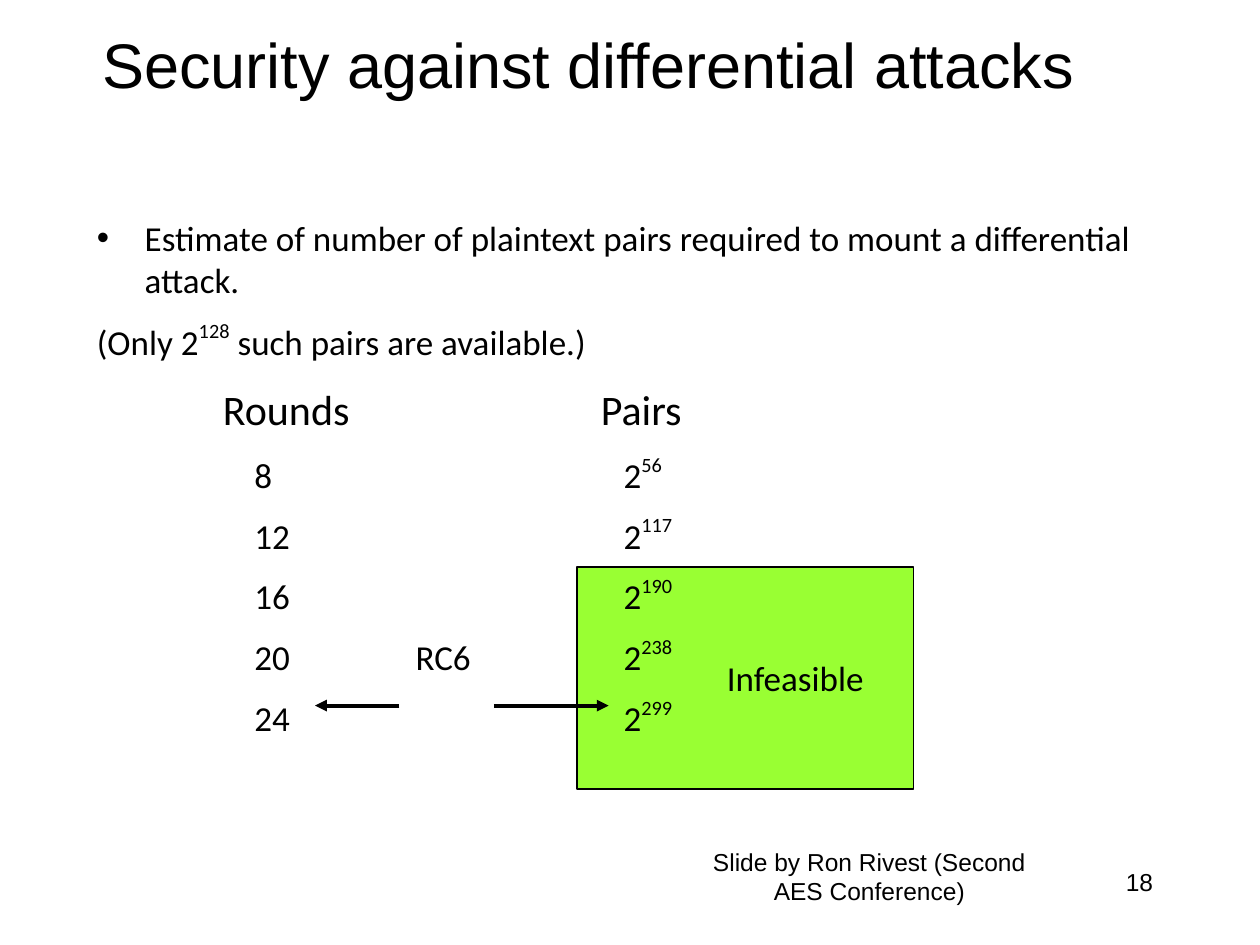
from dataclasses import dataclass

import pptx
import pptx.dml.color
import pptx.enum.shapes
import pptx.enum.text
import pptx.oxml.ns
import pptx.util
from lxml import etree
from pptx.util import Inches

ALIGN = pptx.enum.text.PP_ALIGN


@dataclass(frozen=True)
class Theme:
    """Colours, fonts and type sizes of the slide."""
    ink: str = "000000"
    highlight: str = "99FF33"
    heading_font: str = "Arial"
    body_font: str = "Calibri"
    title_size: int = 36
    header_size: int = 24
    body_size: int = 20
    footer_size: int = 14


THEME = Theme()
HEADER_STOPS = (1, 4)
ROW_STOPS = (1.25, 2.53, 4.18)
ROUNDS = (
    ("8", "", "56"),
    ("12", "", "117"),
    ("16", "", "190"),
    ("20", "RC6", "238"),
    ("24", "", "299"),
)


def rgb(value):
    """Return a colour object for a hex value."""
    return pptx.dml.color.RGBColor.from_string(value)


def add_xml(parent, tag, **attributes):
    """Append a DrawingML element and return it."""
    return etree.SubElement(parent, pptx.oxml.ns.qn(tag), attributes)


def style(paragraph, size, font=THEME.body_font, align=ALIGN.LEFT):
    """Set the type and alignment of a paragraph."""
    paragraph.alignment = align
    paragraph.font.size = pptx.util.Pt(size)
    paragraph.font.name = font
    paragraph.font.color.rgb = rgb(THEME.ink)


def add_frame(slide, box):
    """Add a wrapping text box and return its text frame."""
    frame = slide.shapes.add_textbox(*map(Inches, box)).text_frame
    frame.word_wrap = True
    return frame


def add_label(slide, box, text, size, font, align):
    """Add a one-paragraph text box."""
    paragraph = add_frame(slide, box).paragraphs[0]
    paragraph.text = text
    style(paragraph, size, font, align)


def add_title(slide, box, text):
    """Place and format the title placeholder."""
    title = slide.shapes.title
    title.left, title.top, title.width, title.height = map(Inches, box)
    title.text_frame.text = text
    title.text_frame.vertical_anchor = pptx.enum.text.MSO_ANCHOR.MIDDLE
    style(title.text_frame.paragraphs[0], THEME.title_size, THEME.heading_font, ALIGN.CENTER)


def add_line(frame, text, exponent="", rest="", raised=50, stops=(), size=THEME.body_size):
    """Add a paragraph with an optional exponent and tab stops."""
    paragraph = frame.add_paragraph()
    paragraph.space_before = pptx.util.Pt(size / 2)
    properties = paragraph._p.get_or_add_pPr()
    if stops:
        tabs = add_xml(properties, "a:tabLst")
        for stop in stops:
            add_xml(tabs, "a:tab", pos=str(Inches(stop)), algn="l")
    style(paragraph, size)
    paragraph.add_run().text = text
    if exponent:
        power = paragraph.add_run()
        power.text = exponent
        power._r.get_or_add_rPr().set("baseline", str(raised * 1000))
    if rest:
        paragraph.add_run().text = rest


def add_estimates(slide, box):
    """Write the statement and the rounds and pairs in columns."""
    frame = add_frame(slide, box)
    statement = frame.paragraphs[0]
    statement.text = "Estimate of number of plaintext pairs required to mount a differential attack."
    properties = statement._p.get_or_add_pPr()
    properties.set("marL", str(Inches(0.38)))
    properties.set("indent", str(Inches(-0.38)))
    add_xml(properties, "a:buFont", typeface=THEME.heading_font)
    add_xml(properties, "a:buChar", char="•")
    style(statement, THEME.body_size)
    add_line(frame, "(Only 2", "128", " such pairs are available.)")
    add_line(frame, "\tRounds\tPairs", stops=HEADER_STOPS, size=THEME.header_size)
    for rounds, cipher, exponent in ROUNDS:
        add_line(frame, f"\t{rounds}\t{cipher}\t2", exponent, raised=46, stops=ROW_STOPS)


def add_infeasible_area(slide, box):
    """Draw the highlighted area behind the infeasible pairs."""
    area = slide.shapes.add_shape(
        pptx.enum.shapes.MSO_SHAPE.RECTANGLE, *map(Inches, box))
    area.shadow.inherit = False
    area.fill.solid()
    area.fill.fore_color.rgb = rgb(THEME.highlight)
    area.line.color.rgb = rgb(THEME.ink)
    area.line.width = pptx.util.Pt(1)


def add_arrow(slide, start, end, height):
    """Draw a horizontal arrow from start to end."""
    arrow = slide.shapes.add_connector(
        pptx.enum.shapes.MSO_CONNECTOR.STRAIGHT,
        Inches(start), Inches(height), Inches(end), Inches(height))
    arrow.line.color.rgb = rgb(THEME.ink)
    arrow.line.width = pptx.util.Pt(2.25)
    add_xml(arrow.line._get_or_add_ln(), "a:tailEnd", type="triangle")
    add_xml(arrow._element.spPr, "a:effectLst")


def add_footer(slide, box):
    """Place the credit and the page number in the footer band."""
    left, top, width, height = box
    add_label(slide, (left + width - 2.08, top + 0.16, 2.08, height - 0.16), "18",
              THEME.footer_size, THEME.heading_font, ALIGN.RIGHT)
    add_label(slide, (left, top, 2.8, 0.57), "Slide by Ron Rivest (Second AES Conference)",
              THEME.footer_size, THEME.heading_font, ALIGN.CENTER)


def main():
    """Build the slide and save it."""
    presentation = pptx.Presentation()
    presentation.slide_width = Inches(10)
    presentation.slide_height = Inches(7.5)
    slide = presentation.slides.add_slide(presentation.slide_layouts[5])
    add_title(slide, (0.42, 0, 8.5, 1), "Security against differential attacks")
    add_infeasible_area(slide, (4.58, 4.5, 2.67, 1.76))
    add_estimates(slide, (0.67, 1.67, 8.92, 4.41))
    add_label(slide, (5.67, 5.16, 2.25, 0.43), "Infeasible",
              THEME.body_size, THEME.body_font, ALIGN.LEFT)
    for start, end in ((3.17, 2.5), (3.92, 4.83)):
        add_arrow(slide, start, end, 5.6)
    add_footer(slide, (5.5, 6.67, 3.75, 0.66))
    presentation.save("out.pptx")


if __name__ == "__main__":
    main()
